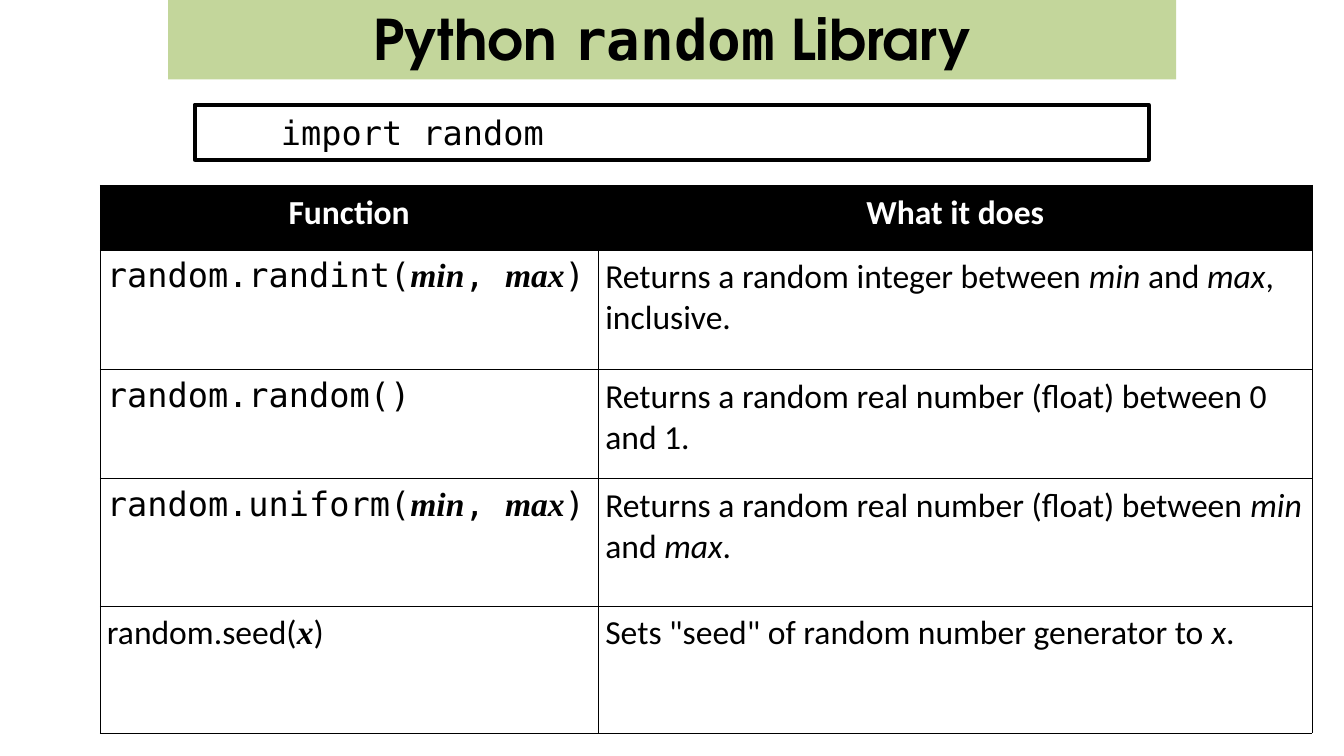
from lxml import etree
from pptx import Presentation
from pptx import util as u
from pptx.dml.color import RGBColor
from pptx.enum import shapes, text
from pptx.oxml import ns

COLORS = {"black": "000000", "white": "FFFFFF", "green": "C3D69B"}

# Each style gives the font values of a run
STYLES = {
    "title": {"name": "TeX Gyre Adventor", "size": u.Pt(30), "bold": True},
    "title code": {"name": "DejaVu Sans Mono", "size": u.Pt(30), "bold": True},
    "heading": {"name": "Calibri", "size": u.Pt(18), "bold": True},
    "plain": {"name": "Calibri", "size": u.Pt(18), "bold": False},
    "term": {"name": "Calibri", "size": u.Pt(18), "bold": False, "italic": True},
    "code": {"name": "DejaVu Sans Mono", "size": u.Pt(18), "bold": False},
    "argument": {"name": "Times New Roman", "size": u.Pt(18), "bold": True, "italic": True},
}

HEADINGS = ["Function", "What it does"]
COLUMN_WIDTHS = [9.42, 13.49]
ROW_HEIGHTS = [1.22, 2.26, 2.06, 2.41, 2.41]


def range_call(name):
    """Runs of a call that takes a minimum and a maximum."""
    return [(f"random.{name}(", "code"), ("min", "argument"), (", ", "code"),
            ("max", "argument"), (")", "code")]


def range_result(start, end):
    """Runs of a description that names both limits."""
    return [(start, "plain"), ("min", "term"), (" and ", "plain"),
            ("max", "term"), (end, "plain")]


FUNCTIONS = [
    (range_call("randint"),
     range_result("Returns a random integer between ", ", inclusive.")),
    ([("random.random()", "code")],
     [("Returns a random real number (float) between 0 and 1.", "plain")]),
    (range_call("uniform"),
     range_result("Returns a random real number (float) between ", ".")),
    ([("random.seed(", "plain"), ("x", "argument"), (")", "plain")],
     [('Sets "seed" of random number generator to ', "plain"), ("x", "term"), (".", "plain")]),
]


def color(name):
    return RGBColor.from_string(COLORS[name])


def set_attributes(target, values):
    for name, value in values.items():
        setattr(target, name, value)


def write_runs(frame, runs, alignment, font_color="black"):
    paragraph = frame.paragraphs[0]
    paragraph.alignment = alignment
    for content, style in runs:
        run = paragraph.add_run()
        run.text = content
        set_attributes(run.font, STYLES[style])
        run.font.color.rgb = color(font_color)


def add_box(slide, place, fill, runs, alignment, line_width=None, indent=0.1):
    shape = slide.shapes.add_shape(shapes.MSO_SHAPE.RECTANGLE, *map(u.Cm, place))
    shape.shadow.inherit = False
    shape.fill.solid()
    shape.fill.fore_color.rgb = color(fill)
    if line_width:
        shape.line.color.rgb = color("black")
        shape.line.width = u.Pt(line_width)
    else:
        shape.line.fill.background()
    set_attributes(shape.text_frame, {
        "word_wrap": True, "vertical_anchor": text.MSO_ANCHOR.MIDDLE,
        "margin_left": u.Cm(indent), "margin_right": u.Cm(0.1),
        "margin_top": u.Cm(0.1), "margin_bottom": u.Cm(0.1)})
    write_runs(shape.text_frame, runs, alignment)


def add_borders(cell, width=0.25):
    properties = cell._tc.get_or_add_tcPr()
    for side in ("lnL", "lnR", "lnT", "lnB"):
        line = etree.SubElement(properties, ns.qn(f"a:{side}"), w=str(u.Pt(width)))
        fill = etree.SubElement(line, ns.qn("a:solidFill"))
        etree.SubElement(fill, ns.qn("a:srgbClr"), val=COLORS["black"])


def fill_cell(cell, runs, is_heading):
    margins = ("margin_left", "margin_right", "margin_top", "margin_bottom")
    set_attributes(cell, dict.fromkeys(margins, u.Cm(0.13)))
    add_borders(cell)
    if is_heading:
        cell.fill.solid()
        cell.fill.fore_color.rgb = color("black")
        write_runs(cell.text_frame, runs, text.PP_ALIGN.CENTER, "white")
    else:
        cell.fill.background()
        write_runs(cell.text_frame, runs, text.PP_ALIGN.LEFT)


def add_function_table(slide, left, top):
    rows = [[[(heading, "heading")] for heading in HEADINGS], *FUNCTIONS]
    table = slide.shapes.add_table(
        len(rows), len(HEADINGS), u.Cm(left), u.Cm(top),
        u.Cm(sum(COLUMN_WIDTHS)), u.Cm(sum(ROW_HEIGHTS))).table
    table.horz_banding = False
    for column, width in zip(table.columns, COLUMN_WIDTHS):
        column.width = u.Cm(width)
    for row, height in zip(table.rows, ROW_HEIGHTS):
        row.height = u.Cm(height)
    for row_index, row in enumerate(rows):
        for column_index, runs in enumerate(row):
            fill_cell(table.cell(row_index, column_index), runs, row_index == 0)


def main():
    presentation = Presentation()
    presentation.slide_width = u.Cm(25.4)
    presentation.slide_height = u.Cm(14.29)
    slide = presentation.slides.add_slide(presentation.slide_layouts[6])

    # Title bar
    add_box(slide, (3.18, -0.05, 19.05, 1.55), "green",
            [("Python ", "title"), ("random", "title code"), (" Library", "title")],
            text.PP_ALIGN.CENTER)

    # Import statement
    add_box(slide, (3.68, 1.98, 18.03, 1.04), "white", [("import random", "code")],
            text.PP_ALIGN.LEFT, line_width=2, indent=1.63)

    # Table of functions
    add_function_table(slide, 1.89, 3.5)

    presentation.save("out.pptx")


if __name__ == "__main__":
    main()
